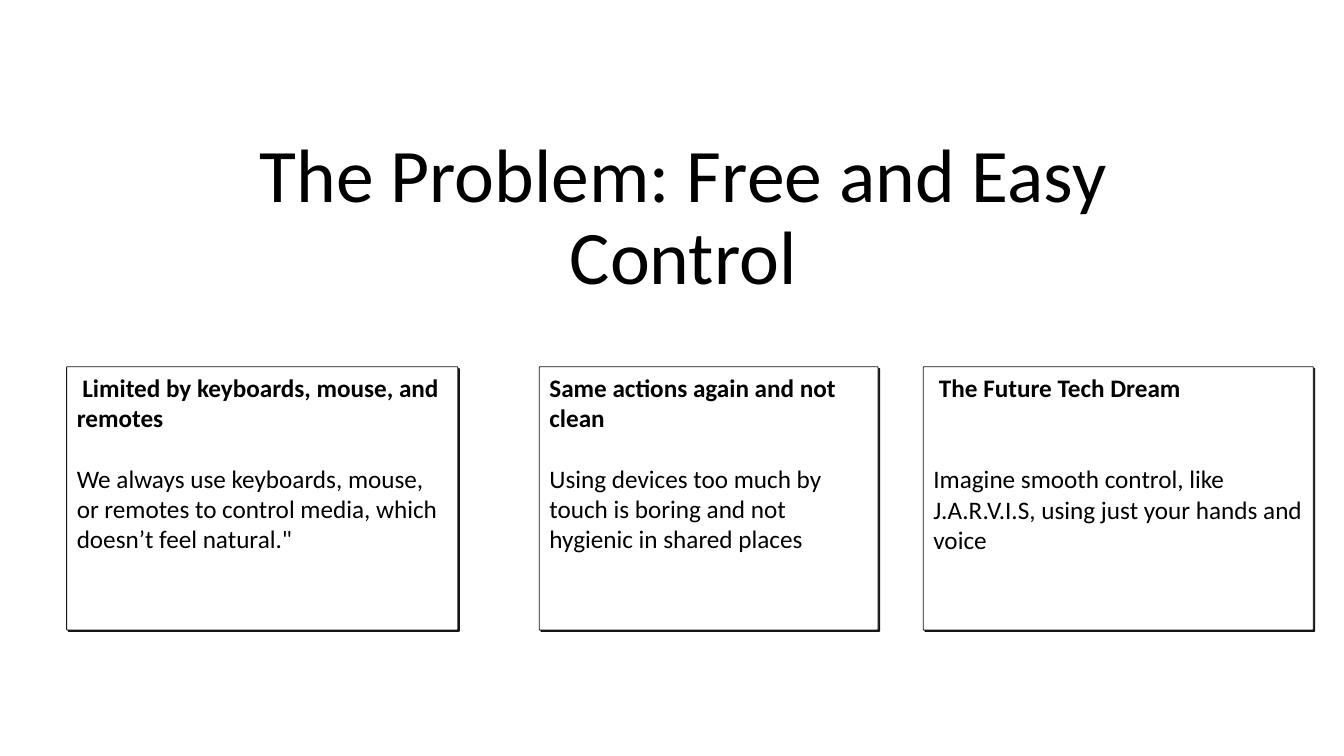
from dataclasses import dataclass

from lxml import etree
from pptx import Presentation
from pptx.dml.color import RGBColor
from pptx.enum.shapes import MSO_SHAPE
from pptx.enum.text import MSO_ANCHOR, MSO_AUTO_SIZE, PP_ALIGN
from pptx.oxml.ns import qn
from pptx.util import Pt

ROUNDED = MSO_SHAPE.ROUNDED_RECTANGLE
TOP, BOTTOM = MSO_ANCHOR.TOP, MSO_ANCHOR.BOTTOM
LEFT, CENTER = PP_ALIGN.LEFT, PP_ALIGN.CENTER
NO_AUTOFIT = MSO_AUTO_SIZE.NONE


@dataclass(frozen=True)
class Theme:
    font: str = "Calibri"
    ink: str = "000000"
    edge: str = "151617"
    paper: str = "FFFFFF"
    title_size: float = 54
    card_size: float = 18


THEME = Theme()
LINE_HEIGHT = 1.22  # of the type size
CARD_LINE = THEME.card_size * LINE_HEIGHT
TITLE_SPACING = 0.9
TITLE_LINE = THEME.title_size * LINE_HEIGHT * TITLE_SPACING

TITLE_BOX = (128, 90, 720, 188)
CARD_TOP, CARD_HEIGHT = 262, 188

# left, width, heading, heading indent, blank lines before body, body
CARDS = [
    (47.6, 279.4, "Limited by keyboards, mouse, and remotes", 4, 1,
     "We always use keyboards, mouse, or remotes to control media, "
     "which doesn’t feel natural.\""),
    (385.2, 242, "Same actions again and not clean", 0, 1,
     "Using devices too much by touch is boring and not hygienic "
     "in shared places"),
    (659.5, 278.6, "The Future Tech Dream", 4, 2,
     "Imagine smooth control, like J.A.R.V.I.S, using just your hands "
     "and voice"),
]


def write(para, text, size, bold=False, align=LEFT, before=0, indent=0,
          spacing=1.0):
    para.alignment = align
    para.space_before = Pt(before)
    para.line_spacing = spacing
    if indent:
        para._p.get_or_add_pPr().set("indent", str(Pt(indent)))
    span = para.add_run()
    span.text = text
    span.font.name = THEME.font
    span.font.size = Pt(size)
    span.font.bold = bold
    span.font.color.rgb = RGBColor.from_string(THEME.ink)


def add_hard_shadow(shape, distance, degrees):
    """Give the shape an unblurred, opaque offset shadow."""
    shape.shadow.inherit = False
    effects = shape._element.spPr.find(qn("a:effectLst"))
    shadow = etree.SubElement(
        effects, qn("a:outerShdw"), blurRad="0", dist=str(Pt(distance)),
        dir=str(degrees * 60000), algn="tl", rotWithShape="0")
    etree.SubElement(shadow, qn("a:srgbClr"), val=THEME.edge)


def fill_title(page, box, text):
    title = page.shapes.title
    title.left, title.top, title.width, title.height = map(Pt, box)
    frame = title.text_frame
    frame.word_wrap = True
    frame.auto_size = NO_AUTOFIT
    frame.vertical_anchor = BOTTOM
    # Keep one title line clear above the cards
    frame.margin_bottom = Pt(round(3.6 + TITLE_LINE))
    write(frame.paragraphs[0], text, THEME.title_size, align=CENTER,
          spacing=TITLE_SPACING)


def add_card(page, box, heading, indent, blank_lines, body):
    card = page.shapes.add_shape(ROUNDED, *map(Pt, box))
    card.adjustments[0] = 0.003
    card.fill.solid()
    card.fill.fore_color.rgb = RGBColor.from_string(THEME.paper)
    card.line.color.rgb = RGBColor.from_string(THEME.edge)
    card.line.width = Pt(0.6)
    add_hard_shadow(card, 1.6, 45)
    frame = card.text_frame
    frame.word_wrap = True
    frame.vertical_anchor = TOP
    write(frame.paragraphs[0], heading, THEME.card_size, bold=True,
          indent=indent)
    write(frame.add_paragraph(), body, THEME.card_size,
          before=blank_lines * CARD_LINE)


def build_problem_slide(deck):
    page = deck.slides.add_slide(deck.slide_layouts[0])
    subtitle = page.placeholders[1].element
    subtitle.getparent().remove(subtitle)
    fill_title(page, TITLE_BOX, "The Problem: Free and Easy Control")
    for left, width, *content in CARDS:
        add_card(page, (left, CARD_TOP, width, CARD_HEIGHT), *content)


def main():
    deck = Presentation()
    deck.slide_width, deck.slide_height = Pt(960), Pt(540)
    build_problem_slide(deck)
    deck.save("out.pptx")


if __name__ == "__main__":
    main()
